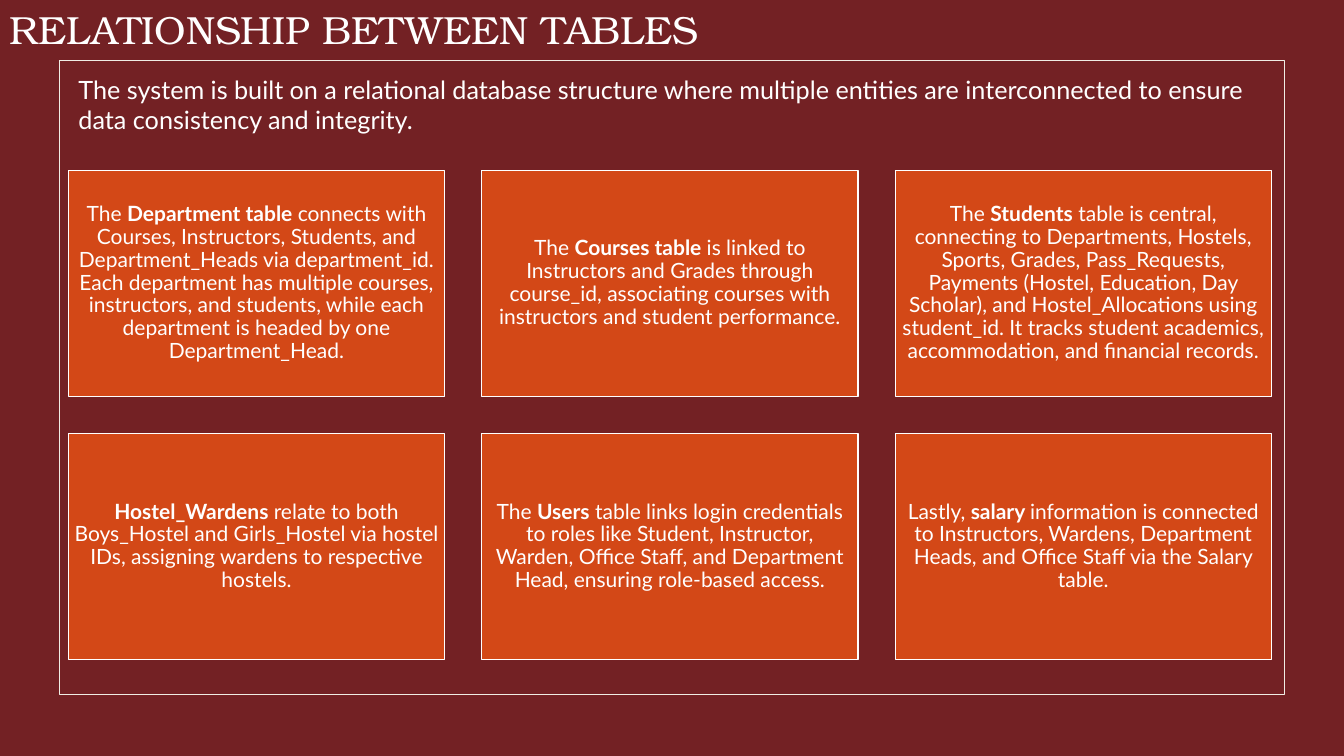
from pptx import Presentation
from pptx.dml.color import RGBColor
from pptx.enum.shapes import MSO_SHAPE
from pptx.enum.text import MSO_ANCHOR, PP_ALIGN
from pptx.util import Inches, Pt

WHITE = "FFFFFF"
CARDS = [
    ("The ", "Department table ",
     "connects with Courses, Instructors, Students, and Department_Heads via "
     "department_id. Each department has multiple courses, instructors, and "
     "students, while each department is headed by one Department_Head."),
    ("The ", "Courses table ",
     "is linked to Instructors and Grades through course_id, associating "
     "courses with instructors and student performance."),
    ("The ", "Students",
     " table is central, connecting to Departments, Hostels, Sports, Grades, "
     "Pass_Requests, Payments (Hostel, Education, Day Scholar), and "
     "Hostel_Allocations using student_id. It tracks student academics, "
     "accommodation, and financial records."),
    ("", "Hostel_Wardens ",
     "relate to both Boys_Hostel and Girls_Hostel via hostel IDs, assigning "
     "wardens to respective hostels."),
    ("The ", "Users",
     " table links login credentials to roles like Student, Instructor, "
     "Warden, Office Staff, and Department Head, ensuring role-based access."),
    ("Lastly, ", "salary ",
     "information is connected to Instructors, Wardens, Department Heads, "
     "and Office Staff via the Salary table."),
]


def color(code):
    return RGBColor.from_string(code)


def style(font, name, size):
    font.name = name
    font.size = Pt(size)
    font.color.rgb = color(WHITE)


def add_rect(slide, box, line, fill=None):
    rect = slide.shapes.add_shape(MSO_SHAPE.RECTANGLE, *map(Inches, box))
    rect.shadow.inherit = False
    if fill:
        rect.fill.solid()
        rect.fill.fore_color.rgb = color(fill)
    else:
        rect.fill.background()
    rect.line.color.rgb = color(line)
    rect.line.width = Pt(0.85)
    return rect


def add_label(slide, box, text, name, size):
    frame = slide.shapes.add_textbox(*map(Inches, box)).text_frame
    frame.word_wrap = True
    frame.text = text
    style(frame.paragraphs[0].runs[0].font, name, size)


def add_card(slide, box, parts):
    """Draw a filled card whose middle part of text is bold."""
    frame = add_rect(slide, box, WHITE, "D34817").text_frame
    frame.word_wrap = True
    frame.vertical_anchor = MSO_ANCHOR.MIDDLE
    frame.margin_left = frame.margin_right = Inches(0.06)
    frame.margin_top = frame.margin_bottom = Inches(0.06)
    para = frame.paragraphs[0]
    para.alignment = PP_ALIGN.CENTER
    para.line_spacing = 0.9
    for spot, text in enumerate(parts):
        if text:
            run = para.add_run()
            run.text = text
            style(run.font, "Lato", 15)
            run.font.bold = spot == 1


def add_grid(slide, box, cols=3, rows=2, gap=0.37):
    left, top, width, height = box
    wide = (width - gap * (cols - 1)) / cols
    high = (height - gap * (rows - 1)) / rows
    for spot, parts in enumerate(CARDS):
        row, col = divmod(spot, cols)
        place = (left + col * (wide + gap), top + row * (high + gap), wide, high)
        add_card(slide, place, parts)


def main():
    deck = Presentation()
    deck.slide_width, deck.slide_height = Inches(13.33), Inches(7.5)
    slide = deck.slides.add_slide(deck.slide_layouts[6])
    slide.background.fill.solid()
    slide.background.fill.fore_color.rgb = color("732124")
    add_rect(slide, (0.59, 0.6, 12.15, 6.29), "F0EDE5")
    add_label(slide, (0, 0, 9.27, 0.57), "RELATIONSHIP BETWEEN TABLES",
              "TeX Gyre Bonum", 28)
    add_label(slide, (0.68, 0.69, 12.02, 0.71),
              "The system is built on a relational database structure where "
              "multiple entities are interconnected to ensure data "
              "consistency and integrity.", "Lato", 18)
    add_grid(slide, (0.68, 1.69, 11.93, 4.85))
    deck.save("out.pptx")


if __name__ == "__main__":
    main()
